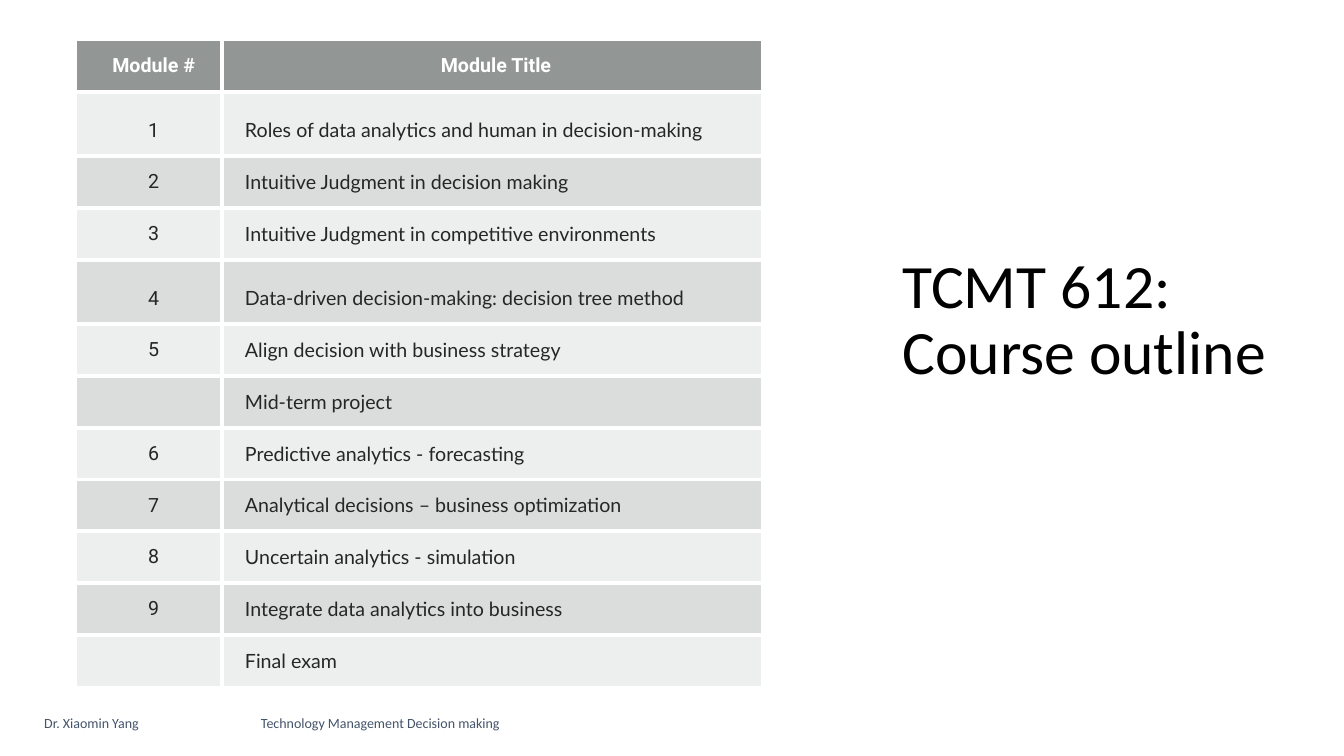
from lxml.etree import SubElement
from pptx import Presentation
from pptx.dml.color import RGBColor
from pptx.enum.text import MSO_ANCHOR, PP_ALIGN
from pptx.oxml.ns import qn
from pptx.util import Inches, Pt

TITLE = "TCMT 612: Course outline"
HEADINGS = ("Module #", "Module Title")
MODULES = [
    ("1", "Roles of data analytics and human in decision-making"),
    ("2", "Intuitive Judgment in decision making"),
    ("3", "Intuitive Judgment in competitive environments"),
    ("4", "Data-driven decision-making: decision tree method"),
    ("5", "Align decision with business strategy"),
    ("", "Mid-term project"),
    ("6", "Predictive analytics - forecasting"),
    ("7", "Analytical decisions – business optimization"),
    ("8", "Uncertain analytics - simulation"),
    ("9", "Integrate data analytics into business"),
    ("", "Final exam"),
]
FOOTER = ("Dr. Xiaomin Yang", "Technology Management Decision making")
COLORS = {"header": "929795", "odd": "EDEEEE", "even": "DBDDDC", "white": "FFFFFF",
          "body": "262626", "title": "000000", "footer": "44546A"}
COLUMN_WIDTHS = (1.44, 5.35)
ROW_HEIGHT, TALL_ROW_HEIGHT = 0.46, 0.64
TALL_ROWS = (1, 4)


def style_font(font, name, size, color, bold=False):
    font.name, font.size, font.bold = name, Pt(size), bold
    font.color.rgb = RGBColor.from_string(COLORS[color])


def add_borders(cell, sides):
    """Draw white 3 pt lines on the given sides, listed in the order L, R, T, B."""
    properties = cell._tc.get_or_add_tcPr()
    for side in sides:
        line = SubElement(properties, qn(f"a:ln{side}"), w=str(Pt(3)))
        fill = SubElement(line, qn("a:solidFill"))
        SubElement(fill, qn("a:srgbClr"), val=COLORS["white"])


def fill_cell(cell, text, row, column, last_row):
    inner_sides = {"L": column > 0, "R": column == 0, "T": row > 0, "B": row < last_row}
    add_borders(cell, [side for side, inner in inner_sides.items() if inner])
    band = "header" if row == 0 else "odd" if row % 2 else "even"
    cell.fill.solid()
    cell.fill.fore_color.rgb = RGBColor.from_string(COLORS[band])
    if not text:
        return
    cell.vertical_anchor = MSO_ANCHOR.BOTTOM
    cell.margin_left = Inches(0.23)
    cell.margin_right = cell.margin_top = cell.margin_bottom = Inches(0.14)
    cell.text_frame.text = text
    paragraph = cell.text_frame.paragraphs[0]
    is_heading = row == 0
    centred = is_heading or column == 0
    paragraph.alignment = PP_ALIGN.CENTER if centred else PP_ALIGN.LEFT
    style_font(paragraph.runs[0].font, "Roboto" if centred else "Lato", 14,
               "white" if is_heading else "body", is_heading)


def add_outline(slide):
    rows = [HEADINGS, *MODULES]
    heights = [TALL_ROW_HEIGHT if i in TALL_ROWS else ROW_HEIGHT for i in range(len(rows))]
    table = slide.shapes.add_table(
        len(rows), len(HEADINGS), Inches(0.76), Inches(0.4),
        Inches(sum(COLUMN_WIDTHS)), Inches(sum(heights))).table
    table.horz_banding = table.first_row = False
    for column, width in zip(table.columns, COLUMN_WIDTHS):
        column.width = Inches(width)
    for r, (texts, height) in enumerate(zip(rows, heights)):
        table.rows[r].height = Inches(height)
        for c, text in enumerate(texts):
            fill_cell(table.cell(r, c), text, r, c, len(rows) - 1)


def add_title(slide):
    title = slide.shapes.title
    title.left, title.top = Inches(8.85), Inches(0.7)
    title.width, title.height = Inches(4), Inches(3.2)
    title.text_frame.text = TITLE
    title.text_frame.vertical_anchor = MSO_ANCHOR.BOTTOM
    paragraph = title.text_frame.paragraphs[0]
    paragraph.alignment = PP_ALIGN.LEFT
    paragraph.line_spacing = 0.9
    style_font(paragraph.runs[0].font, "Calibri", 44, "title")


def add_footer(slide):
    box = slide.shapes.add_textbox(Inches(0.34), Inches(7.06), Inches(5.58), Inches(0.4))
    box.text_frame.word_wrap = True
    box.text_frame.text = "\t".join(FOOTER)
    paragraph = box.text_frame.paragraphs[0]
    tabs = SubElement(paragraph._p.get_or_add_pPr(), qn("a:tabLst"))
    SubElement(tabs, qn("a:tab"), pos=str(Inches(2.15)), algn="l")
    paragraph.line_spacing = 0.9
    paragraph.space_after = Pt(6)
    for run in paragraph.runs:
        style_font(run.font, "Calibri", 10, "footer")


def main():
    presentation = Presentation()
    presentation.slide_width, presentation.slide_height = Inches(13.33), Inches(7.5)
    slide = presentation.slides.add_slide(presentation.slide_layouts[5])
    add_title(slide)
    add_outline(slide)
    add_footer(slide)
    presentation.save("out.pptx")


if __name__ == "__main__":
    main()
